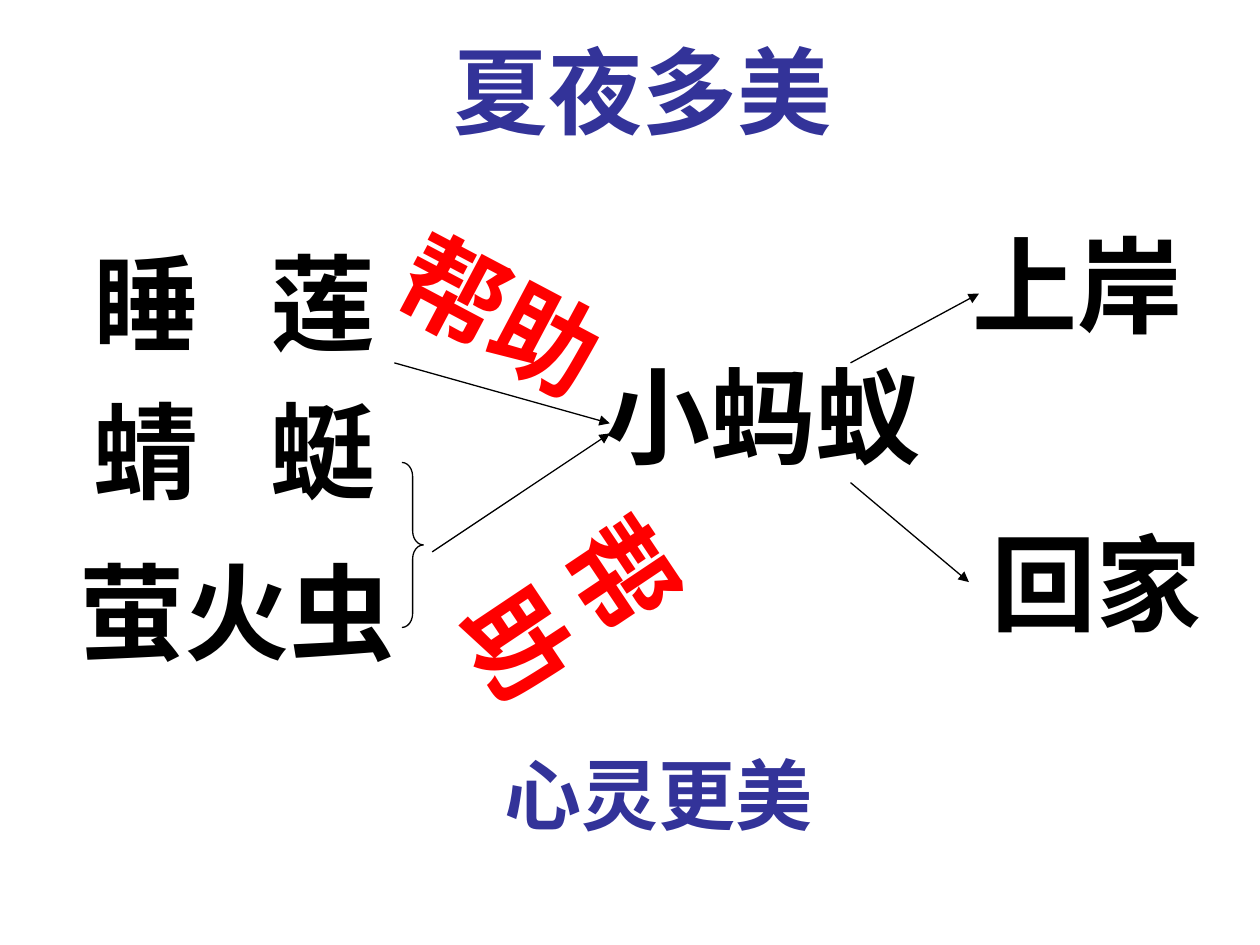
from dataclasses import dataclass

from lxml.etree import SubElement
from pptx import Presentation
from pptx.dml.color import RGBColor
from pptx.enum.shapes import MSO_CONNECTOR, MSO_SHAPE
from pptx.enum.text import MSO_ANCHOR, MSO_AUTO_SIZE, PP_ALIGN
from pptx.oxml.ns import qn
from pptx.shapes.base import BaseShape
from pptx.slide import Slide
from pptx.util import Inches, Pt

BLACK, RED, INDIGO = "000000", "FF0000", "333399"
GAP_STOP = 1.41
FRAME_FORMAT = {
    "auto_size": MSO_AUTO_SIZE.NONE,
    "vertical_anchor": MSO_ANCHOR.TOP,
    "margin_left": Inches(0.1),
    "margin_right": Inches(0.1),
    "margin_top": Inches(0.05),
    "margin_bottom": Inches(0.05),
}


@dataclass
class Word:
    text: str
    left: float
    top: float
    width: float
    height: float = 1.1
    color: str = BLACK
    size: int = 60
    rotation: float = 0
    wrap: bool = False


@dataclass
class Arrow:
    start: tuple[float, float]
    end: tuple[float, float]


TITLE = Word("夏夜多美", 3.5, 0.21, 3.54, 1, INDIGO, 54, wrap=True)
WORDS = [
    Word("睡\t莲", 0.64, 1.84, 2.43),
    Word("蜻\t蜓", 0.64, 3.02, 2.43),
    Word("萤火虫", 0.53, 4.3, 2.7),
    Word("小蚂蚁", 4.71, 2.74, 2.89),
    Word("上岸", 7.62, 1.7, 1.86),
    Word("回家", 7.77, 4.07, 1.86),
    Word("帮助", 3.05, 1.94, 1.86, color=RED, rotation=27.9),
    Word("帮助", 4.01, 3.8, 1.09, 2.1, RED, rotation=56.2, wrap=True),
    Word("心灵更美", 3.91, 5.88, 2.9, 0.84, INDIGO, 44, wrap=True),
]
ARROWS = [
    Arrow((3.13, 2.88), (4.84, 3.36)),
    Arrow((3.43, 4.38), (4.84, 3.44)),
    Arrow((6.75, 2.88), (7.77, 2.33)),
    Arrow((6.75, 3.83), (7.69, 4.62)),
]


def rgb(value: str) -> RGBColor:
    """Turn a hex string into a colour."""
    return RGBColor.from_string(value)


def apply(target: object, values: dict) -> None:
    """Set each named attribute on the target."""
    for name, value in values.items():
        setattr(target, name, value)


def write_word(shape: BaseShape, word: Word) -> None:
    """Place a text shape and fill it with a formatted word."""
    apply(shape, {
        "left": Inches(word.left),
        "top": Inches(word.top),
        "width": Inches(word.width),
        "height": Inches(word.height),
        "rotation": word.rotation,
    })
    frame = shape.text_frame
    apply(frame, FRAME_FORMAT | {"word_wrap": word.wrap})
    paragraph = frame.paragraphs[0]
    paragraph.alignment = PP_ALIGN.LEFT
    if "\t" in word.text:
        stops = SubElement(paragraph._p.get_or_add_pPr(), qn("a:tabLst"))
        SubElement(stops, qn("a:tab"), pos=str(Inches(GAP_STOP)), algn="l")
    run = paragraph.add_run()
    run.text = word.text
    apply(run.font, {"name": "Times New Roman", "size": Pt(word.size), "bold": True})
    run.font.color.rgb = rgb(word.color)


def format_line(shape: BaseShape) -> None:
    """Give a shape a thin black line."""
    shape.line.color.rgb = rgb(BLACK)
    shape.line.width = Pt(0.75)


def draw_arrow(slide: Slide, arrow: Arrow) -> None:
    """Draw a straight line with a triangular head at its end."""
    points = [Inches(value) for value in (*arrow.start, *arrow.end)]
    connector = slide.shapes.add_connector(MSO_CONNECTOR.STRAIGHT, *points)
    format_line(connector)
    SubElement(connector.line._get_or_add_ln(), qn("a:tailEnd"), type="triangle")
    SubElement(connector._element.spPr, qn("a:effectLst"))


def draw_brace(slide: Slide) -> None:
    """Draw the brace that joins the dragonfly and the firefly."""
    box = [Inches(value) for value in (3.19, 3.67, 0.17, 1.31)]
    brace = slide.shapes.add_shape(MSO_SHAPE.RIGHT_BRACE, *box)
    brace.adjustments[0] = 0.65
    brace.shadow.inherit = False
    brace.fill.background()
    format_line(brace)


def main() -> None:
    """Build the slide and save it."""
    presentation = Presentation()
    apply(presentation, {"slide_width": Inches(10), "slide_height": Inches(7.5)})
    slide = presentation.slides.add_slide(presentation.slide_layouts[5])
    write_word(slide.shapes.title, TITLE)
    for word in WORDS:
        write_word(slide.shapes.add_textbox(0, 0, 0, 0), word)
    draw_brace(slide)
    for arrow in ARROWS:
        draw_arrow(slide, arrow)
    presentation.save("out.pptx")


if __name__ == "__main__":
    main()
